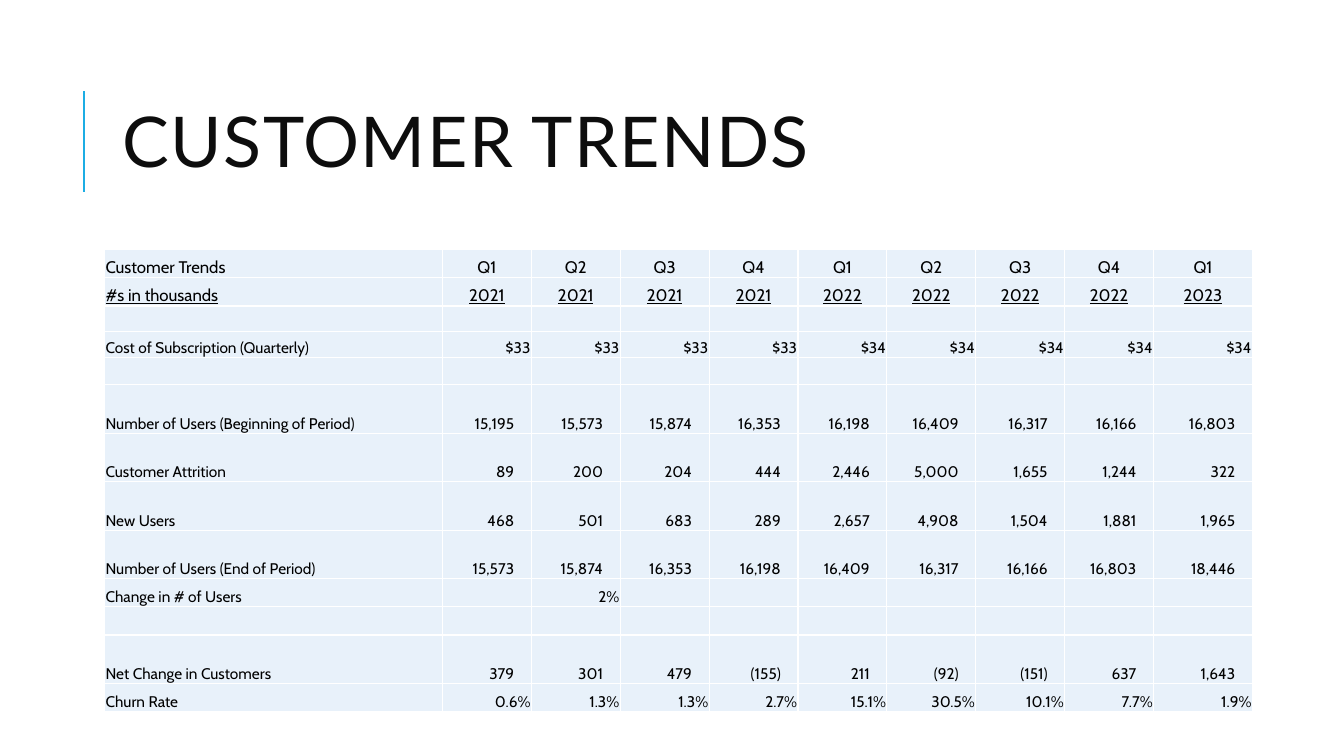
"""Build the customer trends slide."""
import dataclasses

import lxml.etree
import pptx
import pptx.dml.color
import pptx.enum.shapes
import pptx.enum.text
import pptx.oxml.ns
import pptx.util

Cm = pptx.util.Cm
Pt = pptx.util.Pt
qn = pptx.oxml.ns.qn
Align = pptx.enum.text.PP_ALIGN
Anchor = pptx.enum.text.MSO_ANCHOR


@dataclasses.dataclass(frozen=True)
class Theme:
    """Colours, fonts and type sizes of the slide."""
    ink: str = "000000"
    title: str = "0D0D0D"
    accent: str = "1CADE4"
    fill: str = "E8F1FA"
    rule: str = "FFFFFF"
    head_font: str = "Lato"
    body_font: str = "Cabin"
    head_size: int = 50
    top_size: int = 12
    body_size: int = 11


THEME = Theme()
EDGE = 0.02
INDENT = 0.43
WIDTHS = [8.51] + [2.24] * 8 + [2.49]
HEAD = ("head", Align.CENTER, EDGE)
UNDER = ("under", Align.CENTER, EDGE)
FLUSH = ("body", Align.RIGHT, EDGE)
COUNT = ("body", Align.RIGHT, INDENT)
ROWS = [
    (0.71, HEAD, "Customer Trends|Q1|Q2|Q3|Q4|Q1|Q2|Q3|Q4|Q1"),
    (0.71, UNDER, "#s in thousands|2021|2021|2021|2021|2022|2022|2022|2022|2023"),
    (0.65, FLUSH, ""),
    (0.65, FLUSH, "Cost of Subscription (Quarterly)|$33|$33|$33|$33|$34|$34|$34|$34|$34"),
    (0.69, FLUSH, ""),
    (1.22, COUNT, "Number of Users (Beginning of Period)|15,195|15,573|15,874|16,353"
                  "|16,198|16,409|16,317|16,166|16,803"),
    (1.22, COUNT, "Customer Attrition|89|200|204|444|2,446|5,000|1,655|1,244|322"),
    (1.22, COUNT, "New Users|468|501|683|289|2,657|4,908|1,504|1,881|1,965"),
    (1.22, COUNT, "Number of Users (End of Period)|15,573|15,874|16,353|16,198"
                  "|16,409|16,317|16,166|16,803|18,446"),
    (0.71, FLUSH, "Change in # of Users||2%"),
    (0.71, FLUSH, ""),
    (1.22, COUNT, "Net Change in Customers|379|301|479|(155)|211|(92)|(151)|637|1,643"),
    (0.71, FLUSH, "Churn Rate|0.6%|1.3%|1.3%|2.7%|15.1%|30.5%|10.1%|7.7%|1.9%"),
]


def tint(code):
    """Return a colour from its hex code."""
    return pptx.dml.color.RGBColor.from_string(code)


def add_run(para, text, font, size, code):
    """Add one styled run and return it."""
    run = para.add_run()
    run.text = text
    run.font.name = font
    run.font.size = Pt(size)
    run.font.color.rgb = tint(code)
    return run


def add_title(slide, text):
    """Place and fill the title."""
    shape = slide.shapes.title
    shape.left, shape.top = Cm(2.84), Cm(1.63)
    shape.width, shape.height = Cm(27), Cm(4.17)
    frame = shape.text_frame
    frame.word_wrap = True
    frame.auto_size = pptx.enum.text.MSO_AUTO_SIZE.NONE
    frame.vertical_anchor = Anchor.MIDDLE
    para = frame.paragraphs[0]
    para.alignment = Align.LEFT
    para.line_spacing = 0.8
    run = add_run(para, text, THEME.head_font, THEME.head_size, THEME.title)
    run.font._element.set("spc", "100")


def add_rule(slide):
    """Draw the accent line beside the title."""
    line = slide.shapes.add_connector(
        pptx.enum.shapes.MSO_CONNECTOR.STRAIGHT, Cm(2.12), Cm(4.83), Cm(2.12), Cm(2.3))
    line.line.color.rgb = tint(THEME.accent)
    line.line.width = Pt(1.5)
    lxml.etree.SubElement(line._element.spPr, qn("a:effectLst"))


def set_edges(cell):
    """Give a cell thin rules on all four sides."""
    props = cell._tc.get_or_add_tcPr()
    for spot, side in enumerate(("a:lnL", "a:lnR", "a:lnT", "a:lnB")):
        edge = lxml.etree.Element(qn(side), w=str(Pt(1)))
        paint = lxml.etree.SubElement(edge, qn("a:solidFill"))
        lxml.etree.SubElement(paint, qn("a:srgbClr"), val=THEME.rule)
        props.insert(spot, edge)


def fill_cell(cell, text, kind, align, inset):
    """Style one cell and write its text."""
    cell.fill.solid()
    cell.fill.fore_color.rgb = tint(THEME.fill)
    set_edges(cell)
    cell.vertical_anchor = Anchor.BOTTOM
    cell.margin_left = cell.margin_top = Cm(EDGE)
    cell.margin_right, cell.margin_bottom = Cm(inset), Cm(0)
    para = cell.text_frame.paragraphs[0]
    para.alignment = align
    size = THEME.body_size if kind == "body" else THEME.top_size
    if text:
        run = add_run(para, text, THEME.body_font, size, THEME.ink)
        run.font.underline = kind == "under"
    else:
        lxml.etree.SubElement(para._p, qn("a:endParaRPr"), sz=str(size * 100))


def add_grid(slide):
    """Build the table of trends by quarter."""
    high = sum(row[0] for row in ROWS)
    frame = slide.shapes.add_table(
        len(ROWS), len(WIDTHS), Cm(2.64), Cm(6.29), Cm(sum(WIDTHS)), Cm(high))
    grid = frame.table
    grid.first_row = grid.horz_banding = False
    for col, width in zip(grid.columns, WIDTHS):
        col.width = Cm(width)
    for row, (tall, (kind, align, inset), line) in zip(grid.rows, ROWS):
        row.height = Cm(tall)
        texts = line.split("|")
        texts += [""] * (len(WIDTHS) - len(texts))
        for spot, (cell, text) in enumerate(zip(row.cells, texts)):
            if spot == 0:
                fill_cell(cell, text, kind, Align.LEFT, EDGE)
            else:
                fill_cell(cell, text, kind, align, inset)


def main():
    """Make the deck and save it."""
    deck = pptx.Presentation()
    deck.slide_width, deck.slide_height = Cm(33.87), Cm(19.05)
    slide = deck.slides.add_slide(deck.slide_layouts[5])
    add_rule(slide)
    add_title(slide, "CUSTOMER TRENDS")
    add_grid(slide)
    deck.save("out.pptx")


if __name__ == "__main__":
    main()
